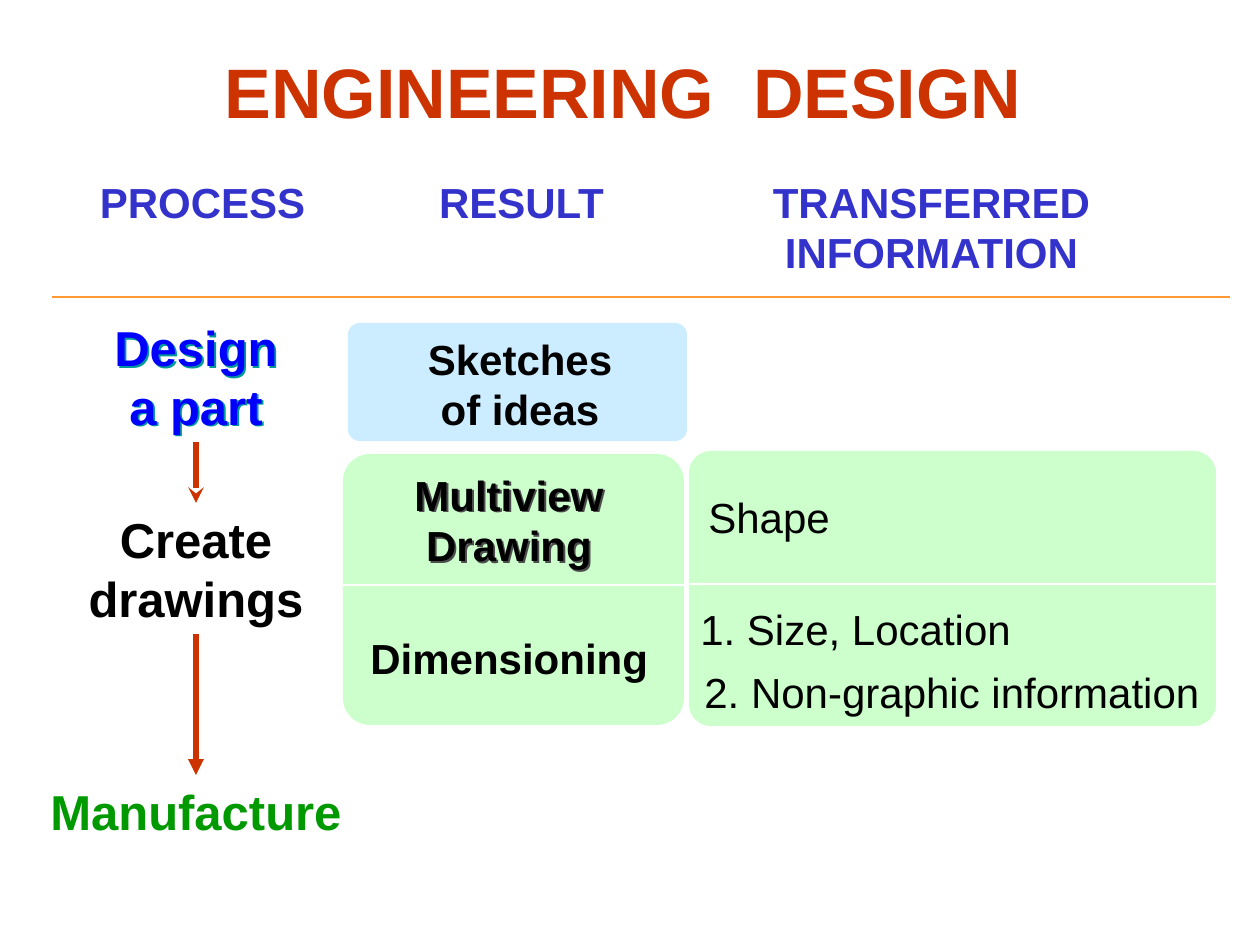
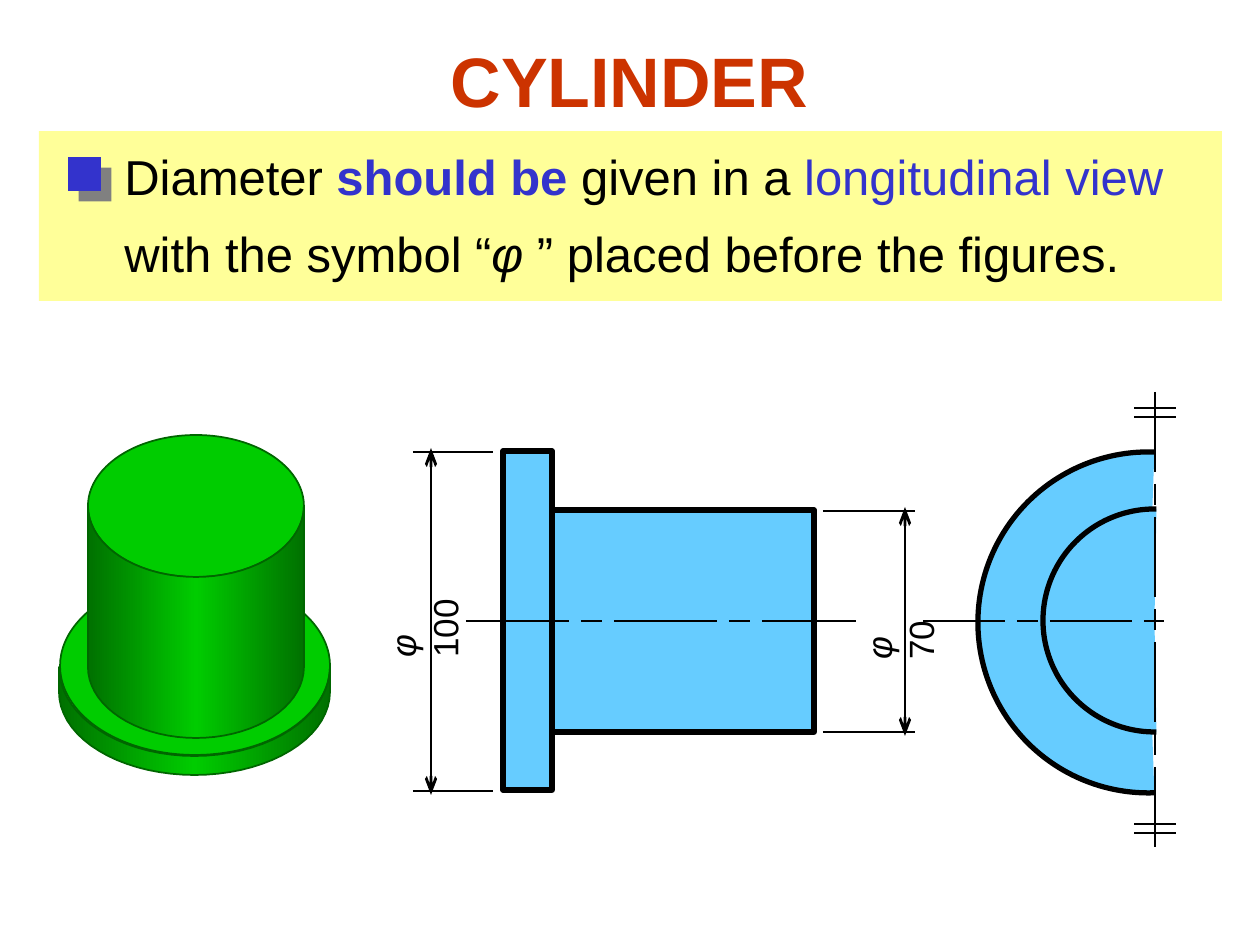
from collections import namedtuple
from copy import deepcopy
from math import cos, pi, sin

from pptx import Presentation
from pptx.dml.color import RGBColor
from pptx.enum.shapes import MSO_CONNECTOR, MSO_SHAPE
from pptx.enum.text import MSO_ANCHOR, MSO_AUTO_SIZE, PP_ALIGN
from pptx.oxml.ns import qn
from pptx.util import Emu, Pt

STRAIGHT = MSO_CONNECTOR.STRAIGHT
RECTANGLE, ROUNDED = MSO_SHAPE.RECTANGLE, MSO_SHAPE.ROUNDED_RECTANGLE
ELLIPSE, ARC = MSO_SHAPE.OVAL, MSO_SHAPE.ARC
LEFT, CENTER = PP_ALIGN.LEFT, PP_ALIGN.CENTER
MIDDLE = MSO_ANCHOR.MIDDLE
FIT_SHAPE, FIXED = MSO_AUTO_SIZE.SHAPE_TO_FIT_TEXT, MSO_AUTO_SIZE.NONE
BOTTOM_SIDE, TOP_SIDE = 2, 0
TITLE_ONLY = 5


class Theme:
    font = "Arial"
    title_size, step_size, text_size, label_size = 40, 28, 24, 20
    red, indigo, black, white = "CC3300", "3333CC", "000000", "FFFFFF"
    blue, green, orange = "0000FF", "009900", "FF9933"
    sky, mint, yellow = "CCECFF", "CCFFCC", "FFFF99"
    metal = "66CCFF"
    solid, solid_dark, solid_edge = "00CC00", "007100", "006600"
    teal_shadow, dark_shadow, grey_shadow = "009999", "4D4D4D", "808080"


class Box(namedtuple("Box", "left top width height")):
    def inside(self, left, top, width, height):
        return Box(self.left + left, self.top + top, width, height)

    def emu(self):
        return [px(length) for length in self]


def px(length):
    return Emu(round(length * 914400 / 126))


def rgb(value):
    return RGBColor.from_string(value)


def style_font(font, size, color, bold=False, italic=False):
    font.name, font.size = Theme.font, Pt(size)
    font.color.rgb = rgb(color)
    font.bold, font.italic = bold, italic


def style_shape(shape, fill, line=None, width=1):
    shape.shadow.inherit = False
    shape.fill.solid()
    shape.fill.fore_color.rgb = rgb(fill)
    if line:
        shape.line.color.rgb = rgb(line)
        shape.line.width = Pt(width)
    else:
        shape.line.fill.background()


def add_block(page, kind, box, fill, line=None, width=1):
    shape = page.shapes.add_shape(kind, *box.emu())
    style_shape(shape, fill, line, width)
    return shape


def add_shadow(shape, color, distance):
    """Cast a hard shadow to the lower right, distance in points."""
    shape.shadow.inherit = False
    effects = shape._element.spPr.find(qn("a:effectLst"))
    outer = effects.makeelement(qn("a:outerShdw"), {
        "blurRad": "0", "dist": str(Pt(distance)), "dir": "2700000",
        "algn": "tl", "rotWithShape": "0"})
    outer.append(outer.makeelement(qn("a:srgbClr"), {"val": color}))
    effects.append(outer)


def add_text(page, box, lines, size=Theme.text_size, color=Theme.black,
             bold=False, align=LEFT):
    shape = page.shapes.add_textbox(*box.emu())
    frame = shape.text_frame
    frame.word_wrap, frame.auto_size = False, FIT_SHAPE
    frame.text = lines
    for para in frame.paragraphs:
        para.alignment = align
        style_font(para.font, size, color, bold)
    return shape


def add_wrapped_spans(page, box, size, spans):
    """Add one wrapped paragraph of (text, color, bold, italic) spans."""
    shape = page.shapes.add_textbox(*box.emu())
    frame = shape.text_frame
    frame.word_wrap, frame.auto_size = True, FIXED
    para = frame.paragraphs[0]
    for text, color, bold, italic in spans:
        span = para.add_run()
        span.text = text
        style_font(span.font, size, color, bold, italic)
    return shape


def add_line(page, start, end, color=Theme.black, width=1.5, head=None, tail=None,
             length="med"):
    line = page.shapes.add_connector(STRAIGHT, *[px(value) for value in (*start, *end)])
    line.line.color.rgb = rgb(color)
    line.line.width = Pt(width)
    outline = line.line._get_or_add_ln()
    for tag, kind in (("a:headEnd", head), ("a:tailEnd", tail)):
        if kind:
            outline.append(outline.makeelement(
                qn(tag), {"type": kind, "w": "med", "len": length}))
    properties = line._element.spPr
    properties.append(properties.makeelement(qn("a:effectLst"), {}))
    return line


def add_titled_page(deck, box, words):
    page = deck.slides.add_slide(deck.slide_layouts[TITLE_ONLY])
    title = page.shapes.title
    title.left, title.top, title.width, title.height = box.emu()
    frame = title.text_frame
    frame.word_wrap, frame.auto_size = False, FIXED
    frame.vertical_anchor = MIDDLE
    para = frame.paragraphs[0]
    para.alignment = CENTER
    style_font(para.font, Theme.title_size, Theme.red, True)
    for index, word in enumerate(words):
        if index:
            gap = para.add_run()
            gap.text = " "
            gap.font._element.set("spc", "1110")
        para.add_run().text = word
    return page


# Engineering design

def heading_row(page, box):
    headings = ((35, 231, "PROCESS"), (373, 193, "RESULT"),
                (708, 343, "TRANSFERRED\nINFORMATION"))
    for left, width, heading in headings:
        add_text(page, box.inside(left, 0, width, 63), heading,
                 color=Theme.indigo, bold=True, align=CENTER)
    bottom = box.top + box.height
    add_line(page, (box.left, bottom), (box.left + box.width, bottom), Theme.orange)


def process_column(page, box):
    steps = ((0, 264, 131, "Design\na part", Theme.blue),
             (192, 250, 131, "Create\ndrawings", Theme.black),
             (464, 326, 72, "Manufacture", Theme.green))
    shapes = [add_text(page, box.inside((box.width - width) / 2, top, width, height),
                       text, Theme.step_size, color, True, CENTER)
              for top, width, height, text, color in steps]
    add_shadow(shapes[0], Theme.teal_shadow, 1.5)
    for upper, lower, tip in zip(shapes, shapes[1:], ("stealth", "triangle")):
        arrow = add_line(page, (0, 0), (1, 1), Theme.red, 3, tail=tip)
        arrow.begin_connect(upper, BOTTOM_SIDE)
        arrow.end_connect(lower, TOP_SIDE)


def split_panel(page, box, radius, divider):
    panel = add_block(page, ROUNDED, box, Theme.mint)
    panel.adjustments[0] = radius
    height = box.top + divider
    add_line(page, (box.left, height), (box.left + box.width, height), Theme.white, 0.75)


def result_column(page, box):
    sketches = add_block(page, ROUNDED, box.inside(5, 0, 339, 118), Theme.sky)
    sketches.adjustments[0] = 0.1
    split_panel(page, box.inside(0, 131, box.width, 271), 0.1, 131)
    add_text(page, box.inside(72, 4, 210, 113), "Sketches\nof ideas",
             bold=True, align=CENTER)
    multiview = add_text(page, box.inside(54, 140, 224, 113), "Multiview\nDrawing",
                         bold=True, align=CENTER)
    add_shadow(multiview, Theme.dark_shadow, 1.5)
    add_text(page, box.inside(15, 303, 322, 63), "Dimensioning", bold=True)


def information_column(page, box):
    split_panel(page, box, 0.08, 133)
    entries = ((7, 34, 166, "Shape"), (-1, 146, 366, "1. Size, Location"),
               (3, 209, 535, "2. Non-graphic information"))
    for left, top, width, text in entries:
        add_text(page, box.inside(left, top, width, 63), text)


def design_page(deck):
    page = add_titled_page(deck, Box(212, 42, 822, 97), ("ENGINEERING", "DESIGN"))
    heading_row(page, Box(52, 170, 1178, 127))
    process_column(page, Box(38, 311, 316, 536))
    result_column(page, Box(343, 323, 341, 402))
    information_column(page, Box(689, 451, 527, 275))


# Cylinder

def rule_band(page, box):
    add_block(page, RECTANGLE, box, Theme.yellow)
    spans = (("Diameter ", Theme.black, False, False),
             ("should be", Theme.indigo, True, False),
             (" given in a ", Theme.black, False, False),
             ("longitudinal view", Theme.indigo, False, False),
             (" with the symbol “", Theme.black, False, False),
             ("φ ", Theme.black, False, True),
             ("” placed before the figures.", Theme.black, False, False))
    rule = add_wrapped_spans(page, box.inside(73, -8, 1105, 166), Theme.step_size, spans)
    rule.text_frame.paragraphs[0].line_spacing = 1.3
    marker = add_block(page, RECTANGLE, box.inside(29, 26, 33, 34), Theme.indigo)
    add_shadow(marker, Theme.grey_shadow, 8.5)


def cylinder_wall(page, box, upper_depth, lower_depth):
    """Draw a shaded wall whose two edges sag by the given depths."""
    radius = box.width / 2
    steps = [pi * step / 36 for step in range(37)]
    middle = box.left + radius
    lower = [(middle - radius * cos(turn),
              box.top + box.height + lower_depth * sin(turn)) for turn in steps]
    upper = [(middle + radius * cos(turn),
              box.top + upper_depth * sin(turn)) for turn in steps]
    points = [(px(x), px(y)) for x, y in lower + upper]
    builder = page.shapes.build_freeform(*points[0])
    builder.add_line_segments(points[1:], close=True)
    wall = builder.convert_to_shape()
    style_shape(wall, Theme.solid, Theme.solid_edge)
    wall.fill.gradient()
    wall.fill.gradient_angle = 0
    stops = wall._element.spPr.find(".//" + qn("a:gsLst"))
    stops.append(deepcopy(stops[0]))
    shades = (Theme.solid_dark, Theme.solid, Theme.solid_dark)
    for index, (stop, shade) in enumerate(zip(wall.fill.gradient_stops, shades)):
        stop.position = index / 2
        stop.color.rgb = rgb(shade)


def solid_view(page, box):
    for face in (box.inside(29, 0, 216, 142), box.inside(1, 142, 270, 178)):
        add_block(page, ELLIPSE, face, Theme.solid, Theme.solid_edge)
    cylinder_wall(page, box.inside(29, 71, 216, 161), 71, 71)
    cylinder_wall(page, box.inside(0, 232, 271, 25), 89, 83)


def center_line(page, start, end, level, long_dash, upright=False):
    """Draw alternating long and short dashes from start to end."""
    short_dash, gap = 21, 12
    position, dash, following = start, long_dash, short_dash
    while position < end:
        ends = [(position, level), (min(position + dash, end), level)]
        if upright:
            ends = [(y, x) for x, y in ends]
        add_line(page, *ends)
        position += dash + gap
        dash, following = following, dash


def front_view(page, box):
    for part in (box.inside(37, 0, 49, 339), box.inside(86, 59, 262, 222)):
        add_block(page, RECTANGLE, part, Theme.metal, Theme.black, 3)
    center_line(page, box.left, box.left + box.width, box.top + 170, 103)


def end_view(page, box):
    arcs = ((box.inside(55, 60, 341, 341), 88, 272),
            (box.inside(120, 117, 223, 223), 89, 271))
    for bounds, start, end in arcs:
        arc = add_block(page, ARC, bounds, Theme.metal, Theme.black, 3)
        arc.adjustments[0], arc.adjustments[1] = start * 0.6, end * 0.6
    axis = box.left + 232
    center_line(page, box.left, box.left + box.width, box.top + 229, 82)
    center_line(page, box.top, box.top + box.height, axis, 80, upright=True)
    for offset in (16, 25, 432, 441):
        level = box.top + offset
        add_line(page, (axis - 21, level), (axis + 21, level))


def dimension(page, box, arrow_left, label_box, value):
    right, bottom = box.left + box.width, box.top + box.height
    for level in (box.top, bottom):
        add_line(page, (box.left, level), (right, level))
    arrow = box.left + arrow_left
    add_line(page, (arrow, box.top - 4), (arrow, bottom + 4),
             head="arrow", tail="arrow", length="lg")
    label = add_wrapped_spans(page, box.inside(*label_box), Theme.label_size, (
        ("φ ", Theme.black, False, True), (value, Theme.black, False, False)))
    label.rotation = 270


def cylinder_page(deck):
    page = add_titled_page(deck, Box(94, 0, 1071, 158), ("CYLINDER",))
    rule_band(page, Box(39, 131, 1183, 170))
    solid_view(page, Box(59, 435, 271, 340))
    front_view(page, Box(466, 451, 390, 339))
    end_view(page, Box(923, 392, 241, 457))
    dimension(page, Box(413, 452, 80, 339), 18, (-66, 135, 111, 55), "100")
    dimension(page, Box(823, 511, 92, 221), 82, (10, 88, 91, 55), "70")


def main():
    deck = Presentation()
    deck.slide_width, deck.slide_height = px(1260), px(945)
    design_page(deck)
    cylinder_page(deck)
    deck.save("out.pptx")


if __name__ == "__main__":
    main()
